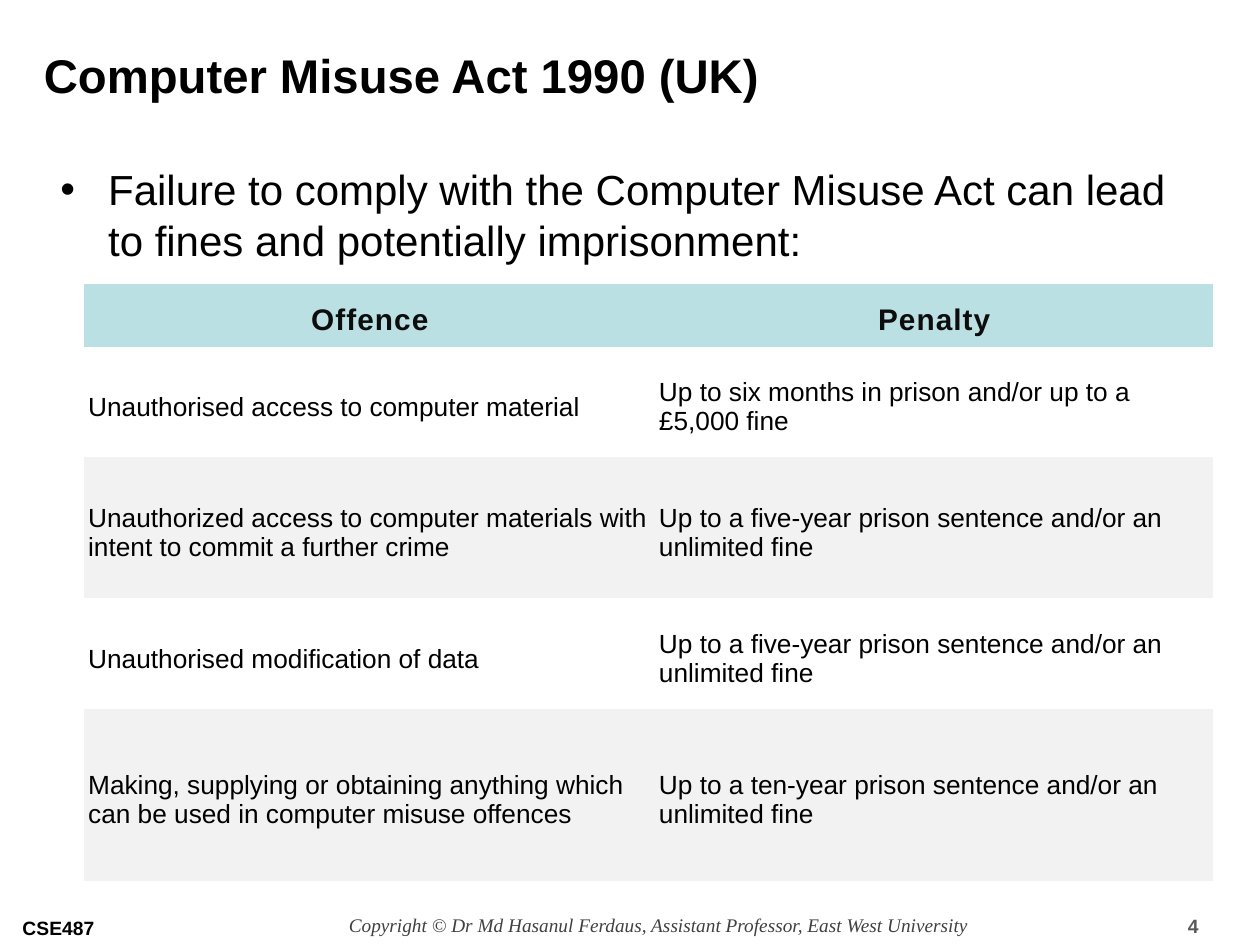
from dataclasses import dataclass

from lxml import etree
from pptx import Presentation
from pptx.dml.color import RGBColor
from pptx.enum.text import MSO_ANCHOR, PP_ALIGN
from pptx.oxml.ns import qn
from pptx.util import Inches, Pt

LEFT, CENTER = PP_ALIGN.LEFT, PP_ALIGN.CENTER
TOP, MIDDLE = MSO_ANCHOR.TOP, MSO_ANCHOR.MIDDLE

BLACK, HEADER_TEXT = "000000", "0D0D0D"
HEADER_FILL, BAND_FILL = "BBE0E3", "F2F2F2"
NO_STYLE = "{2D5ABB26-0587-4C30-8999-92F81FD0307C}"

COLUMN_WIDTHS = (4.53, 4.43)
ROW_HEIGHTS = (0.5, 0.88, 1.12, 0.88, 1.36)
PENALTIES = (
    ("Offence", "Penalty"),
    ("Unauthorised access to computer material",
     "Up to six months in prison and/or up to a £5,000 fine"),
    ("Unauthorized access to computer materials with intent to commit a further crime",
     "Up to a five-year prison sentence and/or an unlimited fine"),
    ("Unauthorised modification of data",
     "Up to a five-year prison sentence and/or an unlimited fine"),
    ("Making, supplying or obtaining anything which can be used in computer misuse offences",
     "Up to a ten-year prison sentence and/or an unlimited fine"),
)


@dataclass
class TextBlock:
    text: str
    left: float
    top: float
    width: float
    height: float
    size: float
    font: str = "Arial"
    color: str = BLACK
    bold: bool = False
    italic: bool = False
    anchor: MSO_ANCHOR = TOP
    bullet_indent: float = 0


BLOCKS = (
    TextBlock("Computer Misuse Act 1990 (UK)", 0.25, 0.2, 7.75, 0.78, 27,
              bold=True, anchor=MIDDLE),
    TextBlock("Failure to comply with the Computer Misuse Act can lead to fines "
              "and potentially imprisonment:", 0.38, 1.25, 9.25, 1, 24,
              bullet_indent=0.38),
    # Footer
    TextBlock("CSE487", 0.08, 7.22, 1.42, 0.25, 11, bold=True),
    TextBlock("Copyright © Dr Md Hasanul Ferdaus, Assistant Professor, East West University",
              2.67, 7.2, 5.33, 0.25, 11, font="Times New Roman", color="404040",
              italic=True),
    TextBlock("4", 9.33, 7.21, 0.5, 0.25, 11, color="595959", bold=True),
)


def rgb(value: str) -> RGBColor:
    return RGBColor.from_string(value)


def write_text(text_frame, text: str, *, size: float, font: str = "Arial",
               color: str = BLACK, bold: bool = False, italic: bool = False,
               align: PP_ALIGN = LEFT, spacing: float = 0,
               bullet_indent: float = 0) -> None:
    text_frame.word_wrap = True
    paragraph = text_frame.paragraphs[0]
    paragraph.alignment = align
    if bullet_indent:
        properties = paragraph._p.get_or_add_pPr()
        properties.set("marL", str(Inches(bullet_indent)))
        properties.set("indent", str(-Inches(bullet_indent)))
        etree.SubElement(properties, qn("a:buFont"), typeface="Arial")
        etree.SubElement(properties, qn("a:buChar"), char="•")
    run = paragraph.add_run()
    run.text = text
    run.font.size = Pt(size)
    run.font.name = font
    run.font.bold = bold
    run.font.italic = italic
    run.font.color.rgb = rgb(color)
    if spacing:
        run._r.get_or_add_rPr().set("spc", str(round(spacing * 100)))


def add_text_block(slide, block: TextBlock) -> None:
    shape = slide.shapes.add_textbox(Inches(block.left), Inches(block.top),
                                     Inches(block.width), Inches(block.height))
    shape.text_frame.vertical_anchor = block.anchor
    write_text(shape.text_frame, block.text, size=block.size, font=block.font,
               color=block.color, bold=block.bold, italic=block.italic,
               bullet_indent=block.bullet_indent)


def fill_cell(cell, text: str, row_index: int) -> None:
    cell.margin_left = cell.margin_right = cell.margin_bottom = Inches(0.03)
    cell.margin_top = Inches(0.11)
    cell.vertical_anchor = MIDDLE
    if row_index % 2:
        cell.fill.background()
    else:
        cell.fill.solid()
        cell.fill.fore_color.rgb = rgb(BAND_FILL if row_index else HEADER_FILL)
    if row_index == 0:
        write_text(cell.text_frame, text, size=17, color=HEADER_TEXT, bold=True,
                   align=CENTER, spacing=0.6)
    else:
        write_text(cell.text_frame, text, size=15)


def add_penalty_table(slide) -> None:
    table = slide.shapes.add_table(
        len(ROW_HEIGHTS), len(COLUMN_WIDTHS), Inches(0.67), Inches(2.25),
        Inches(sum(COLUMN_WIDTHS)), Inches(sum(ROW_HEIGHTS))).table
    table.first_row = table.horz_banding = False
    table._tbl.tblPr.find(qn("a:tableStyleId")).text = NO_STYLE
    for column, width in zip(table.columns, COLUMN_WIDTHS):
        column.width = Inches(width)
    for row_index, (row, height) in enumerate(zip(table.rows, ROW_HEIGHTS)):
        row.height = Inches(height)
        for cell, text in zip(row.cells, PENALTIES[row_index]):
            fill_cell(cell, text, row_index)


def main() -> None:
    presentation = Presentation()
    presentation.slide_width = Inches(10)
    presentation.slide_height = Inches(7.5)
    slide = presentation.slides.add_slide(presentation.slide_layouts[6])
    for block in BLOCKS:
        add_text_block(slide, block)
    add_penalty_table(slide)
    presentation.save("out.pptx")


if __name__ == "__main__":
    main()
